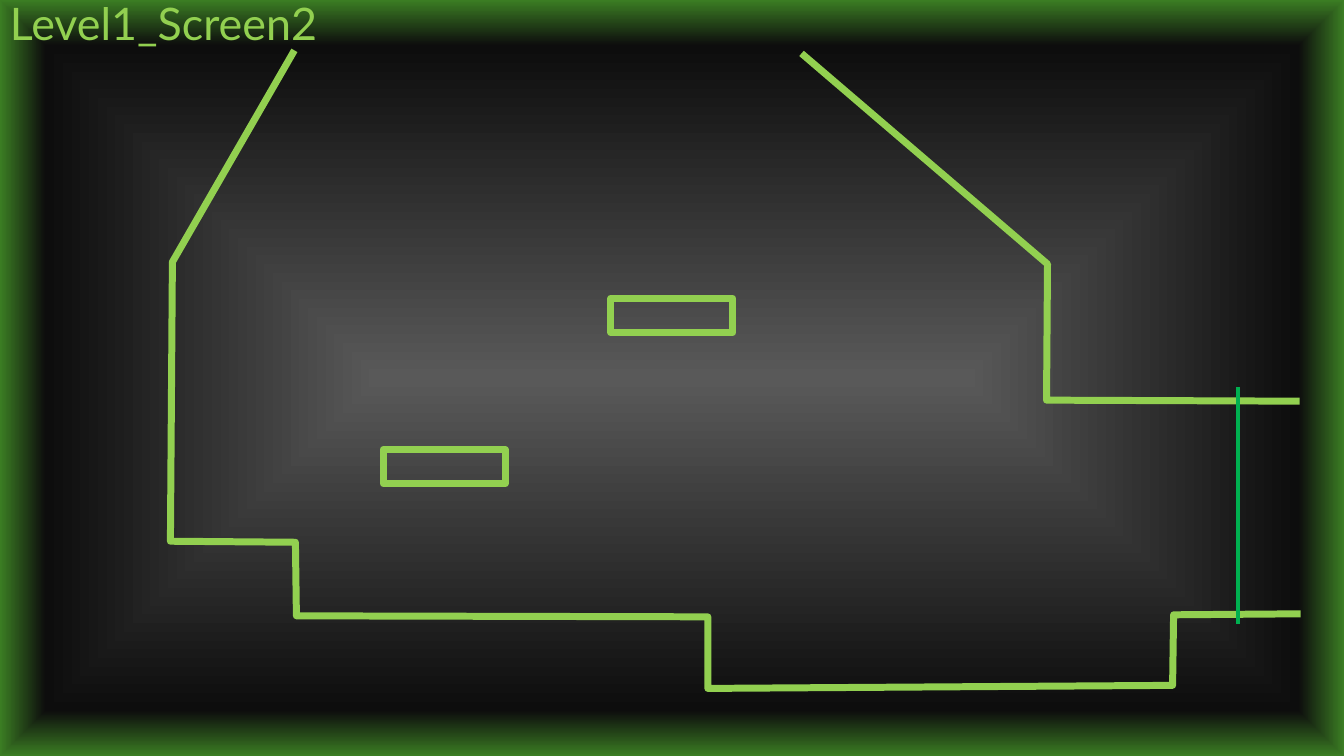
from pptx import Presentation
from pptx import util as u
from pptx.dml.color import RGBColor
from pptx.enum import shapes, text
from pptx.oxml import parse_xml
from pptx.oxml.ns import nsdecls
from lxml import etree

# Content: lengths in columns and rows of a one-inch grid
SLIDE_SIZE = (13.33, 7.5)
TITLE = "Level1_Screen2"
TITLE_BOX = (0, 0, SLIDE_SIZE[0], 0.51)
TITLE_FORMAT = {"size": u.Pt(32), "name": "Lato"}
BACKDROP = [(0, "595959"), (88, "0D0D0D"), (100, "3B7D23")]
WALL, GATE = ("92D050", 5), ("00B050", 3)
WALL_OUTLINES = [
    [(2.92, 0.5), (1.71, 2.6), (1.69, 5.37), (2.93, 5.38), (2.94, 6.11),
     (7.02, 6.12), (7.02, 6.83), (11.63, 6.8), (11.64, 6.1), (12.9, 6.09)],
    [(7.95, 0.53), (10.39, 2.62), (10.38, 3.97), (12.89, 3.98)],
]
PLATFORM_SIZE = (1.21, 0.34)
PLATFORMS = [(3.8, 4.46), (6.06, 2.96)]
GATE_COLUMN, GATE_ROWS = 12.28, (3.84, 6.19)


def grid(*lengths):
    return [u.Inches(length) for length in lengths]


def color(hex_value):
    return RGBColor.from_string(hex_value)


def draw_line(shape, style):
    shape.line.color.rgb = color(style[0])
    shape.line.width = u.Pt(style[1])


def outline(shape, style):
    shape.shadow.inherit = False
    shape.fill.background()
    draw_line(shape, style)


presentation = Presentation()
presentation.slide_width, presentation.slide_height = grid(*SLIDE_SIZE)
slide = presentation.slides.add_slide(presentation.slide_layouts[6])

# Background glow, from the centre out to the edges
stops = "".join(f'<a:gs pos="{share * 1000}"><a:srgbClr val="{tone}"/></a:gs>'
                for share, tone in BACKDROP)
slide.element.cSld.insert(0, parse_xml(
    f'<p:bg {nsdecls("p", "a")}><p:bgPr><a:gradFill rotWithShape="1">'
    f'<a:gsLst>{stops}</a:gsLst><a:path path="rect">'
    '<a:fillToRect l="50000" t="50000" r="50000" b="50000"/></a:path>'
    '</a:gradFill><a:effectLst/></p:bgPr></p:bg>'))

# Title
frame = slide.shapes.add_textbox(*grid(*TITLE_BOX)).text_frame
frame.word_wrap = True
frame.vertical_anchor = text.MSO_ANCHOR.MIDDLE
paragraph = frame.paragraphs[0]
paragraph.line_spacing = 0.9
run = paragraph.add_run()
run.text = TITLE
run.font.color.rgb = color(TITLE_FORMAT.get("color", WALL[0]))
for attribute, value in TITLE_FORMAT.items():
    setattr(run.font, attribute, value)

# Cave walls
for points in WALL_OUTLINES:
    start, *rest = [tuple(grid(*point)) for point in points]
    builder = slide.shapes.build_freeform(*start)
    builder.add_line_segments(rest, close=False)
    outline(builder.convert_to_shape(), WALL)

# Floating platforms
for corner in PLATFORMS:
    outline(slide.shapes.add_shape(shapes.MSO_SHAPE.RECTANGLE,
                                   *grid(*corner, *PLATFORM_SIZE)), WALL)

# Exit gate
top, bottom = GATE_ROWS
gate = slide.shapes.add_connector(shapes.MSO_CONNECTOR.STRAIGHT,
                                  *grid(GATE_COLUMN, top, GATE_COLUMN, bottom))
draw_line(gate, GATE)
etree.SubElement(gate.element.spPr,
                 "{http://schemas.openxmlformats.org/drawingml/2006/main}effectLst")

presentation.save("out.pptx")
